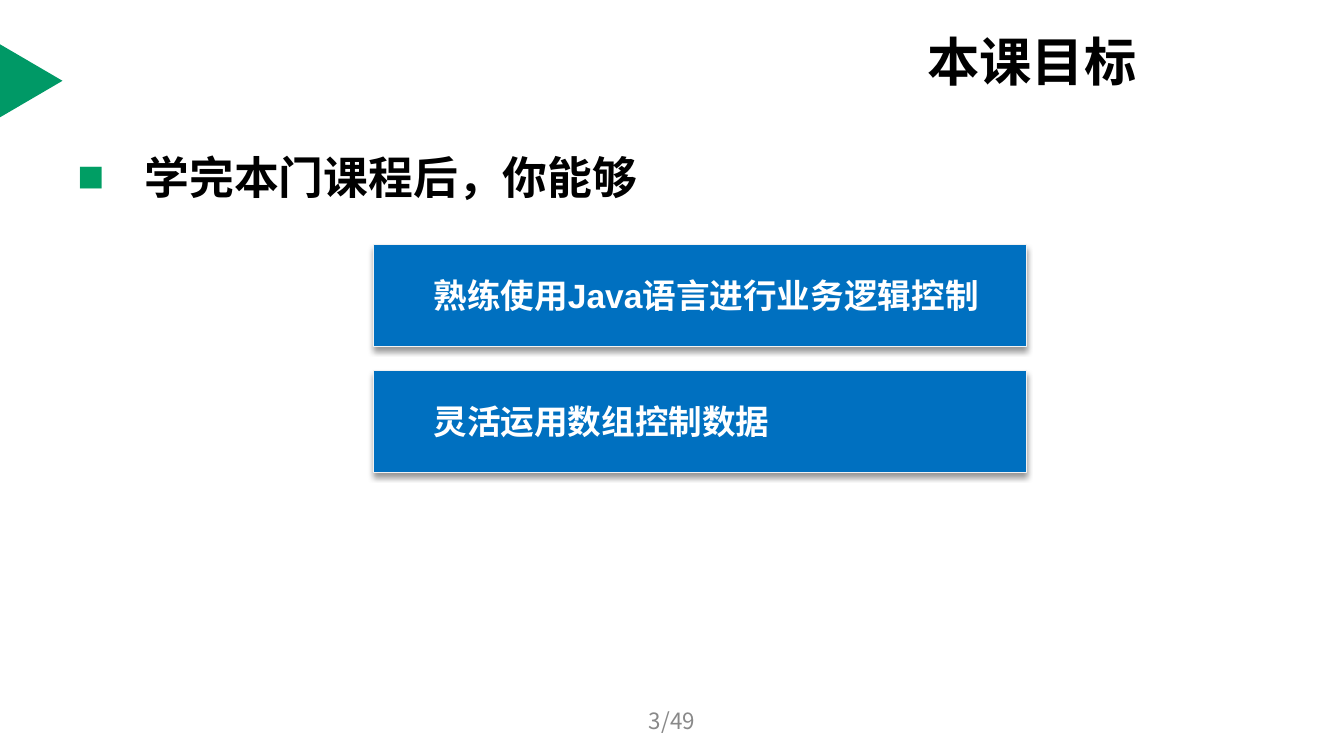
from lxml.etree import SubElement
from pptx import Presentation
from pptx.dml.color import RGBColor
from pptx.enum.shapes import MSO_SHAPE as Shape
from pptx.enum.text import MSO_ANCHOR as Anchor, MSO_AUTO_SIZE as AutoSize, PP_ALIGN as Align
from pptx.oxml.ns import qn
from pptx.util import Pt

COLORS = {
    "marker": "009966",
    "bullet": "009E64",
    "goal": "0070C0",
    "border": "F2F2F2",
    "ink": "000000",
    "white": "FFFFFF",
    "muted": "898989",
}
CJK = "Noto Sans CJK SC"
GOALS = ["熟练使用Java语言进行业务逻辑控制", "灵活运用数组控制数据"]


def rgb(name):
    return RGBColor.from_string(COLORS[name])


class SlideBuilder:
    """Holds the text style and the current slide."""

    def __init__(self, slide):
        self.slide = slide

    def place(self, box, left, top, width, height):
        box.left, box.top = Pt(left), Pt(top)
        box.width, box.height = Pt(width), Pt(height)

    def set_text(self, box, text, size, color, font=CJK, bold=True,
                 anchor=Anchor.MIDDLE, align=Align.LEFT):
        frame = box.text_frame
        frame.text = text
        frame.word_wrap = True
        frame.auto_size = AutoSize.NONE
        frame.vertical_anchor = anchor
        para = frame.paragraphs[0]
        para.alignment = align
        span = para.runs[0]
        span.font.size = Pt(size)
        span.font.bold = bold
        span.font.name = font
        span.font.color.rgb = rgb(color)
        SubElement(span.font._element, qn("a:ea"), typeface=CJK)
        return para

    def indent(self, para, margin, hanging):
        props = para._p.get_or_add_pPr()
        props.set("marL", str(Pt(margin)))
        props.set("indent", str(-Pt(hanging)))
        return props

    def shape(self, kind, bounds, fill):
        box = self.slide.shapes.add_shape(kind, *map(Pt, bounds))
        box.fill.solid()
        box.fill.fore_color.rgb = rgb(fill)
        box.line.fill.background()
        box.shadow.inherit = False
        return box

    def marker(self, *bounds):
        self.shape(Shape.ISOSCELES_TRIANGLE, bounds, "marker").rotation = 90

    def title(self, text, *bounds):
        box = self.slide.shapes.title
        self.place(box, *bounds)
        self.set_text(box, text, 37.4, "ink")

    def bullet_list(self, text, *bounds):
        box = self.slide.placeholders[1]
        self.place(box, *bounds)
        para = self.set_text(box, text, 32, "ink", anchor=Anchor.TOP)
        props = self.indent(para, 48, 48)
        color = SubElement(props, qn("a:buClr"))
        SubElement(color, qn("a:srgbClr"), val=COLORS["bullet"])
        SubElement(props, qn("a:buFont"), typeface="Arial")
        SubElement(props, qn("a:buChar"), char="■")

    def goal(self, text, *bounds):
        box = self.shape(Shape.RECTANGLE, bounds, "goal")
        box.line.color.rgb = rgb("border")
        box.line.width = Pt(0.75)
        # Soft shadow straight below
        effects = box._element.spPr.find(qn("a:effectLst"))
        shadow = SubElement(effects, qn("a:outerShdw"), blurRad=str(Pt(4)),
                            dist=str(Pt(3)), dir="5400000", rotWithShape="0")
        color = SubElement(shadow, qn("a:srgbClr"), val=COLORS["ink"])
        SubElement(color, qn("a:alpha"), val="40000")
        para = self.set_text(box, text, 24, "white", font="Arial")
        para.level = 1
        self.indent(para, 58.5, 22.5)

    def page_number(self, text, *bounds):
        box = self.slide.shapes.add_textbox(*map(Pt, bounds))
        self.set_text(box, text, 16, "muted", bold=False, align=Align.CENTER)


def main():
    deck = Presentation()
    deck.slide_width, deck.slide_height = Pt(960), Pt(540)
    page = SlideBuilder(deck.slides.add_slide(deck.slide_layouts[1]))

    # Heading and lead-in
    page.marker(-3.6, 35.5, 52, 44.5)
    page.title("本课目标", 655, 22.5, 171.5, 41)
    page.bullet_list("学完本门课程后，你能够", 48, 103, 864, 379.5)

    # Course goals, evenly stacked
    for row, text in enumerate(GOALS):
        page.goal(text, 266.5, 174.5 + row * 90, 466.5, 73)

    # Footer
    page.page_number("3/49", 328, 500.5, 304, 29)

    deck.save("out.pptx")


if __name__ == "__main__":
    main()
